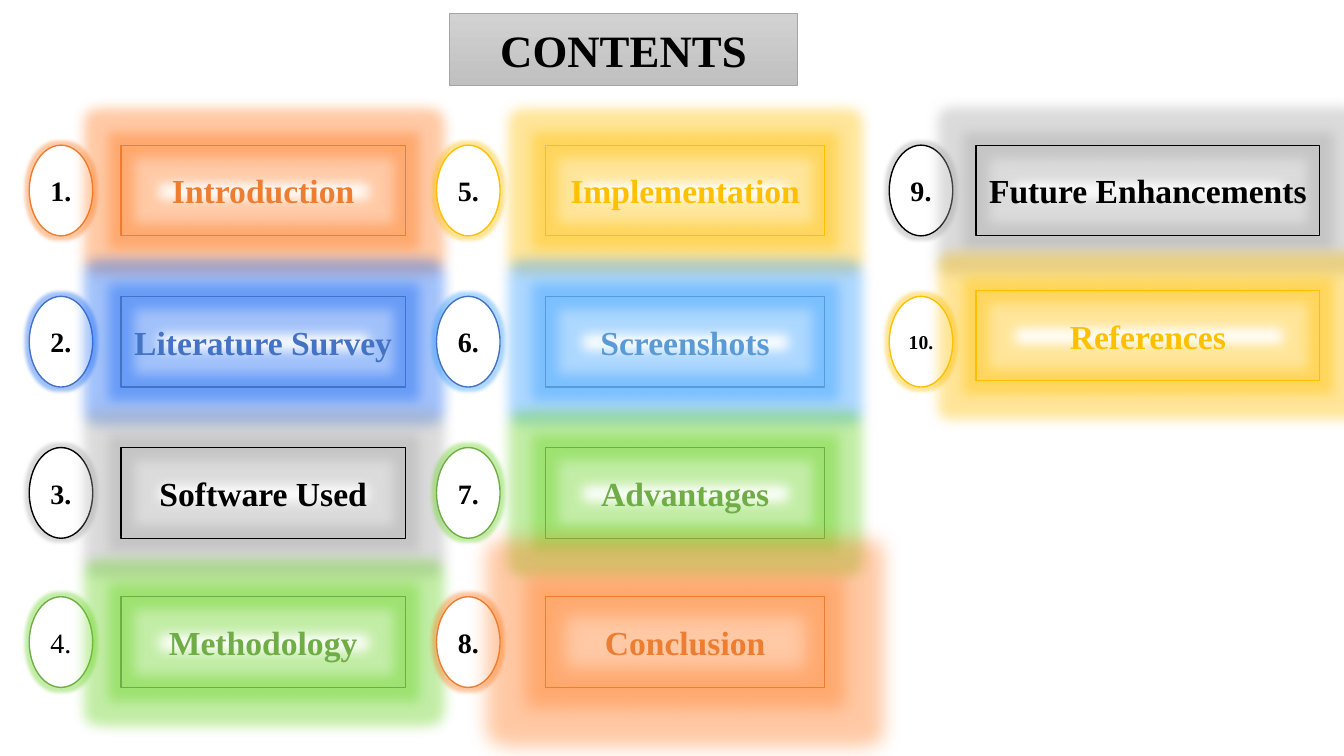
import lxml.etree
import pptx
import pptx.dml.color
import pptx.enum.shapes
import pptx.enum.text
import pptx.oxml.ns
import pptx.util

RGBColor = pptx.dml.color.RGBColor
Shapes = pptx.enum.shapes.MSO_SHAPE
WHITE = RGBColor(0xFF, 0xFF, 0xFF)
BLACK = RGBColor(0x00, 0x00, 0x00)
GRAY = RGBColor(0xA5, 0xA5, 0xA5)
LIGHT_GRAY = RGBColor(0xD2, 0xD2, 0xD2)
SILVER = RGBColor(0xC0, 0xC0, 0xC0)
ORANGE = RGBColor(0xED, 0x7D, 0x31)
BLUE = RGBColor(0x44, 0x72, 0xC4)
SKY = RGBColor(0x5B, 0x9B, 0xD5)
GREEN = RGBColor(0x70, 0xAD, 0x47)
GOLD = RGBColor(0xFF, 0xC0, 0x00)

# Column: badge left, topic left, topic width; all in inches
COLUMNS = [(0.29, 1.2, 2.82), (4.33, 5.41, 2.77), (8.82, 9.68, 3.41)]
ROW_TOPS = [1.44, 2.94, 4.44, 5.92]
ROW_HEIGHT = 0.9
BADGE_WIDTH = 0.63

# Topic, its colour, and any format values that differ from the usual
CONTENTS = [
    [("Introduction", ORANGE, {}), ("Literature Survey", BLUE, {}),
     ("Software Used", BLACK, {}), ("Methodology", GREEN, {"badge_bold": False})],
    [("Implementation", GOLD, {}), ("Screenshots", SKY, {"badge_line": BLUE}),
     ("Advantages", GREEN, {}), ("Conclusion", ORANGE, {"glow": 28})],
    [("Future Enhancements", BLACK, {}),
     ("References", GOLD, {"badge_size": 14, "lift": 0.06})],
]


class ContentsSlide:
    font_name = "Times New Roman"

    def __init__(self, deck):
        self.slide = deck.slides.add_slide(deck.slide_layouts[5])

    def place(self, shape, *box):
        for side, inches in zip(("left", "top", "width", "height"), box):
            setattr(shape, side, pptx.util.Inches(inches))

    def label(self, shape, words, size, color, bold=True, margin=0.1):
        frame = shape.text_frame
        inset = pptx.util.Inches(margin)
        frame_format = {
            "word_wrap": True,
            "auto_size": pptx.enum.text.MSO_AUTO_SIZE.NONE,
            "vertical_anchor": pptx.enum.text.MSO_ANCHOR.MIDDLE,
            "margin_left": inset,
            "margin_right": inset,
        }
        for name, value in frame_format.items():
            setattr(frame, name, value)
        frame.text = words
        paragraph = frame.paragraphs[0]
        paragraph.alignment = pptx.enum.text.PP_ALIGN.CENTER
        font = paragraph.runs[0].font
        font_format = {"name": self.font_name, "size": pptx.util.Pt(size), "bold": bold}
        for name, value in font_format.items():
            setattr(font, name, value)
        font.color.rgb = color

    def outline(self, shape, color, points):
        shape.line.color.rgb = color
        shape.line.width = pptx.util.Pt(points)

    def glow(self, shape, color, points):
        """Surround the shape with a soft, saturated halo."""
        shape.shadow.inherit = False
        tag = pptx.oxml.ns.qn
        effects = shape.element.spPr.find(tag("a:effectLst"))
        halo = lxml.etree.SubElement(effects, tag("a:glow"), rad=str(pptx.util.Pt(points)))
        tint = lxml.etree.SubElement(halo, tag("a:srgbClr"), val=str(color))
        lxml.etree.SubElement(tint, tag("a:satMod"), val="175000")
        lxml.etree.SubElement(tint, tag("a:alpha"), val="40000")

    def title(self, words):
        heading = self.slide.shapes.title
        self.place(heading, 4.46, 0.13, 3.45, 0.72)
        heading.fill.gradient()
        heading.fill.gradient_angle = 270
        for stop, color in zip(heading.fill.gradient_stops, (LIGHT_GRAY, SILVER)):
            stop.color.rgb = color
        self.outline(heading, GRAY, 0.5)
        self.label(heading, words, 32, BLACK)

    def badge(self, column, row, number, color, halo, size, bold):
        oval = self.slide.shapes.add_shape(Shapes.OVAL, 0, 0, 0, 0)
        self.place(oval, COLUMNS[column][0], ROW_TOPS[row], BADGE_WIDTH, ROW_HEIGHT)
        oval.fill.solid()
        oval.fill.fore_color.rgb = WHITE
        self.outline(oval, color, 1)
        self.glow(oval, halo, 5)
        self.label(oval, f"{number}.", size, BLACK, bold, margin=0)

    def topic(self, column, row, words, color, halo, radius, lift):
        left, width = COLUMNS[column][1:]
        frame = self.slide.shapes.add_shape(Shapes.RECTANGLE, 0, 0, 0, 0)
        self.place(frame, left, ROW_TOPS[row] - lift, width, ROW_HEIGHT)
        frame.fill.background()
        self.outline(frame, color, 0.75)
        self.glow(frame, halo, radius)
        self.label(frame, words, 24, color)


def main():
    deck = pptx.Presentation()
    deck.slide_width = pptx.util.Inches(13.33)
    deck.slide_height = pptx.util.Inches(7.5)
    page = ContentsSlide(deck)
    page.title("CONTENTS")
    number = 0
    for column, topics in enumerate(CONTENTS):
        for row, (words, color, extra) in enumerate(topics):
            number += 1
            halo = GRAY if color == BLACK else color
            page.badge(column, row, number, extra.get("badge_line", color), halo,
                       extra.get("badge_size", 20), extra.get("badge_bold", True))
            page.topic(column, row, words, color, halo,
                       extra.get("glow", 18), extra.get("lift", 0))
    deck.save("out.pptx")


if __name__ == "__main__":
    main()
